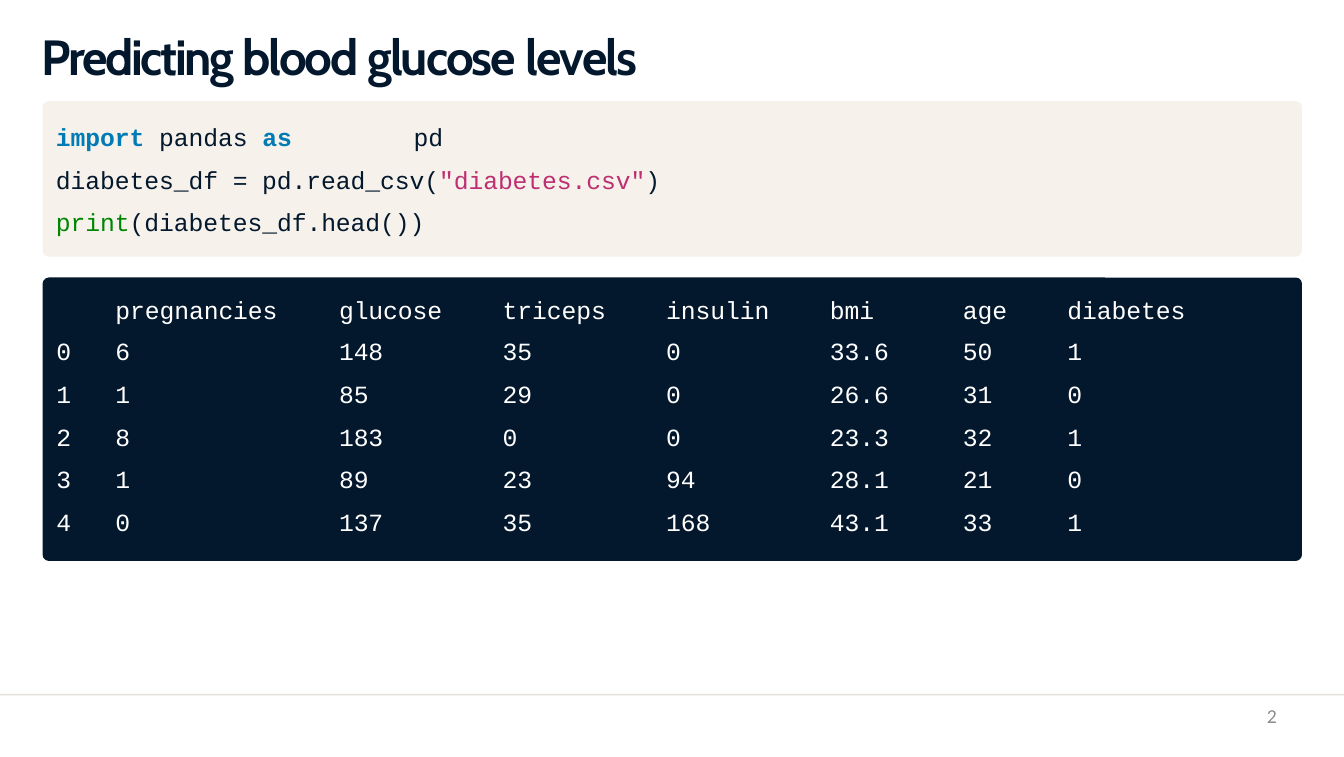
"""Build the slide on loading blood glucose data with pandas."""
from lxml.etree import SubElement
from pptx import Presentation
from pptx.dml.color import RGBColor
from pptx.enum.shapes import MSO_SHAPE
from pptx.enum.text import PP_ALIGN
from pptx.oxml.ns import qn
from pptx.util import Cm, Pt

COLORS = {"navy": "04182D", "sand": "F6F2EB", "rule": "E4E1D9", "white": "FFFFFF",
          "keyword": "007BB5", "string": "BE2F72", "builtin": "008600", "gray": "8C8C8C"}
NO_GRID = "{2D5ABB26-0587-4C30-8999-92F81FD0307C}"

TITLE = [("Predicting ", -2.2), ("blood ", -2), ("glucose ", -1.8), ("levels", -1.6)]
CODE = [
    [("import", "keyword"), (" pandas ", "navy"), ("as", "keyword"), ("\tpd", "navy")],
    [("diabetes_df = pd.read_csv(", "navy"), ('"diabetes.csv"', "string"), (")", "navy")],
    [("print", "builtin"), ("(diabetes_df.head())", "navy")],
]
OUTPUT = [
    ["", "pregnancies", "glucose", "triceps", "insulin", "bmi", "age", "diabetes"],
    ["0", "6", "148", "35", "0", "33.6", "50", "1"],
    ["1", "1", "85", "29", "0", "26.6", "31", "0"],
    ["2", "8", "183", "0", "0", "23.3", "32", "1"],
    ["3", "1", "89", "23", "94", "28.1", "21", "0"],
    ["4", "0", "137", "35", "168", "43.1", "33", "1"],
]
COL_WIDTHS = [1.27, 6.93, 5.26, 5.26, 5.26, 4.06, 3.58, 4.85]
COL_INDENTS = [0.08, 0.71, 0.97, 0.97, 0.97, 0.97, 1.19, 0.97]
ROW_HEIGHTS = [1.17, 1.37, 1.37, 1.37, 1.37, 1.17]


def add_run(p, text, font="Courier New", size=22.5, color="navy", bold=False, spacing=-0.1):
    """Append a formatted run to a paragraph."""
    r = p.add_run()
    r.text = text
    r.font.name, r.font.size, r.font.bold = font, Pt(size), bold
    r.font.color.rgb = RGBColor.from_string(COLORS[color])
    r.font._element.set("spc", str(round(spacing * 100)))


class SlideBuilder:
    """Holds the current slide and draws its elements in centimetres."""

    def __init__(self, slide):
        self.s = slide

    def box(self, x, y, w, h, color, radius=0):
        """Draw a filled rectangle with optional rounded corners."""
        kind = MSO_SHAPE.ROUNDED_RECTANGLE if radius else MSO_SHAPE.RECTANGLE
        sp = self.s.shapes.add_shape(kind, Cm(x), Cm(y), Cm(w), Cm(h))
        if radius:
            sp.adjustments[0] = radius / h
        sp.fill.solid()
        sp.fill.fore_color.rgb = RGBColor.from_string(COLORS[color])
        sp.line.fill.background()
        sp.shadow.inherit = False

    def text(self, x, y, w, h):
        """Add an empty text frame without margins."""
        tf = self.s.shapes.add_textbox(Cm(x), Cm(y), Cm(w), Cm(h)).text_frame
        tf.word_wrap = True
        tf.margin_left = tf.margin_top = tf.margin_right = tf.margin_bottom = 0
        return tf

    def code(self, x, y, w, h, lines, tab):
        """Write code lines with coloured tokens and one tab stop."""
        tf = self.text(x, y, w, h)
        for i, tokens in enumerate(lines):
            p = tf.add_paragraph() if i else tf.paragraphs[0]
            p.line_spacing = Pt(38.8)
            tabs = SubElement(p._p.get_or_add_pPr(), qn("a:tabLst"))
            SubElement(tabs, qn("a:tab"), pos=str(Cm(tab)), algn="l")
            for token, color in tokens:
                add_run(p, token, color=color, bold=color == "keyword")

    def table(self, x, y, rows):
        """Add the printed data frame as an unfilled table."""
        frame = self.s.shapes.add_table(len(rows), len(COL_WIDTHS), Cm(x), Cm(y),
                                        Cm(sum(COL_WIDTHS)), Cm(sum(ROW_HEIGHTS)))
        table = frame.table
        table.first_row = table.horz_banding = False
        table._tbl.tblPr.find(qn("a:tableStyleId")).text = NO_GRID
        for column, width in zip(table.columns, COL_WIDTHS):
            column.width = Cm(width)
        for i, values in enumerate(rows):
            table.rows[i].height = Cm(ROW_HEIGHTS[i])
            for j, value in enumerate(values):
                cell = table.cell(i, j)
                cell.fill.background()
                cell.margin_left = Cm(COL_INDENTS[j])
                cell.margin_right = cell.margin_bottom = 0
                cell.margin_top = Cm(0.18 if i else 0)
                p = cell.text_frame.paragraphs[0]
                if i:
                    p.space_before = Pt(4.8)
                else:
                    p.line_spacing = Pt(26.4)
                if value:
                    add_run(p, value, color="white")


def main():
    """Lay out the slide and save it."""
    prs = Presentation()
    prs.slide_width, prs.slide_height = Cm(43.21), Cm(24.33)
    b = SlideBuilder(prs.slides.add_slide(prs.slide_layouts[6]))

    b.box(0, 22.3, 43.21, 0.05, "rule")
    p = b.text(1.35, 0.85, 22.66, 1.98).paragraphs[0]
    for word, spacing in TITLE:
        add_run(p, word, font="Cabin", size=45, bold=True, spacing=spacing)

    b.box(1.37, 3.25, 40.49, 5, "sand", radius=0.2)
    b.code(1.8, 3.5, 20, 4.17, CODE, tab=11.5)
    b.box(1.37, 8.92, 40.49, 9.11, "navy", radius=0.2)
    b.table(1.73, 9.58, OUTPUT)

    p = b.text(31.12, 22.63, 9.93, 1.22).paragraphs[0]
    p.alignment = PP_ALIGN.RIGHT
    add_run(p, "2", font="Calibri", size=18, color="gray", spacing=0)
    prs.save("out.pptx")


if __name__ == "__main__":
    main()
